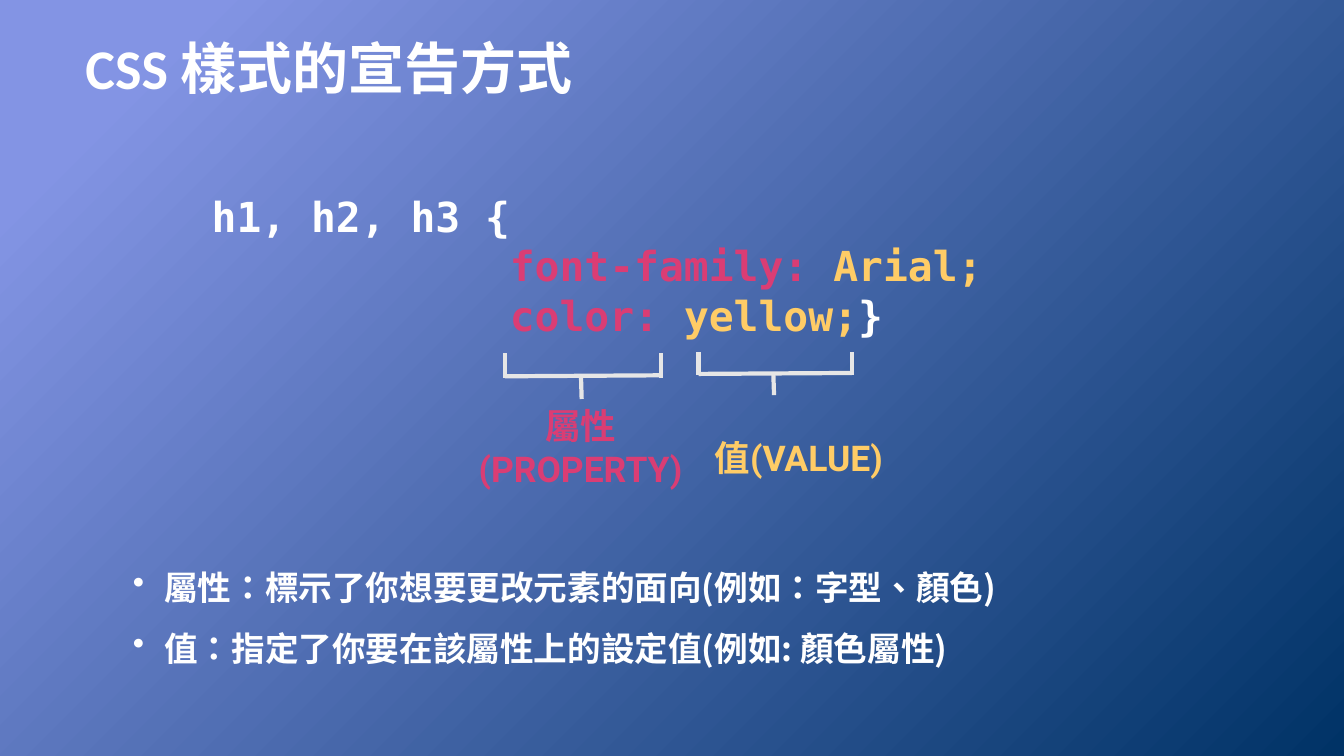
from dataclasses import dataclass
from typing import Optional

import pptx
import pptx.dml.color
import pptx.enum.lang
import pptx.enum.shapes
import pptx.enum.text
import pptx.oxml.ns
import pptx.slide
import pptx.util
from lxml import etree

Pt = pptx.util.Pt
qn = pptx.oxml.ns.qn
ALIGN = pptx.enum.text.PP_ALIGN
ANCHOR = pptx.enum.text.MSO_ANCHOR

WHITE = "FFFFFF"
PROPERTY = "DA3D74"
VALUE = "FFCC66"
BRACKET = "E6E6E6"


@dataclass
class TextBlock:
    left: float
    top: float
    width: float
    height: float
    font: str
    size: float
    lines: list[list[tuple[str, str]]]
    anchor: ANCHOR = ANCHOR.MIDDLE
    align: ALIGN = ALIGN.LEFT
    inset: tuple[float, float] = (0, 0)
    indents: tuple[float, ...] = ()
    bullet: Optional[str] = None
    spacing: Optional[float] = None


@dataclass
class Bracket:
    left: float
    right: float
    top: float
    bar: float
    stem: float
    bottom: float


def rgb(value: str) -> pptx.dml.color.RGBColor:
    return pptx.dml.color.RGBColor.from_string(value)


def set_values(target: object, values: dict) -> None:
    for name, value in values.items():
        setattr(target, name, value)


def draw_background(s: pptx.slide.Slide) -> None:
    fill = s.background.fill
    fill.gradient()
    fill.gradient_angle = 315
    stops = ((0.1, "8394E4"), (1.0, "003366"))
    for stop, (position, color) in zip(fill.gradient_stops, stops):
        stop.position = position
        stop.color.rgb = rgb(color)


def draw_text(s: pptx.slide.Slide, block: TextBlock) -> None:
    sp = s.shapes.add_textbox(
        Pt(block.left), Pt(block.top), Pt(block.width), Pt(block.height))
    tf = sp.text_frame
    side, end = block.inset
    set_values(tf, {
        "word_wrap": True,
        "vertical_anchor": block.anchor,
        "margin_left": Pt(side),
        "margin_right": Pt(side),
        "margin_top": Pt(end),
        "margin_bottom": Pt(end),
    })
    for i, line in enumerate(block.lines):
        p = tf.paragraphs[0] if i == 0 else tf.add_paragraph()
        p.alignment = block.align
        if block.spacing:
            p.line_spacing = Pt(block.spacing)
        pPr = p._p.get_or_add_pPr()
        if block.indents:
            pPr.set("marL", str(Pt(block.indents[i])))
        if block.bullet:
            pPr.set("indent", str(-Pt(block.indents[i])))
            etree.SubElement(pPr, qn("a:buChar")).set("char", block.bullet)
        for text, color in line:
            r = p.add_run()
            r.text = text
            set_values(r.font, {
                "name": block.font,
                "size": Pt(block.size),
                "bold": True,
                "language_id": pptx.enum.lang.MSO_LANGUAGE_ID.TRADITIONAL_CHINESE,
            })
            r.font.color.rgb = rgb(color)
            ea = etree.SubElement(r._r.get_or_add_rPr(), qn("a:ea"))
            ea.set("typeface", block.font)


def draw_bracket(s: pptx.slide.Slide, b: Bracket) -> None:
    segments = (
        (b.left, b.top, b.left, b.bar + 1),
        (b.right, b.top, b.right, b.bar + 1),
        (b.left, b.bar, b.right, b.bar - 0.7),
        (b.stem, b.bar, b.stem + 0.5, b.bottom),
    )
    for segment in segments:
        line = s.shapes.add_connector(
            pptx.enum.shapes.MSO_CONNECTOR.STRAIGHT, *map(Pt, segment))
        line.line.width = Pt(3)
        line.line.color.rgb = rgb(BRACKET)
        etree.SubElement(line._element.spPr, qn("a:effectLst"))


BLOCKS = [
    TextBlock(54, 11.5, 798, 72.7, "Calibri", 40,
              [[("CSS 樣式的宣告方式", WHITE)]], inset=(7.2, 3.6)),
    TextBlock(151.2, 134, 558.7, 111, "DejaVu Sans Mono", 29.5, [
        [("h1, h2, h3 {", WHITE)],
        [("font-family: ", PROPERTY), ("Arial;", VALUE)],
        [("color: ", PROPERTY), ("yellow;", VALUE), ("}", WHITE)],
    ], indents=(0, 213, 213)),
    TextBlock(331.2, 283.7, 167, 71.3, "Roboto", 25.3,
              [[("屬性", PROPERTY)], [("(PROPERTY)", PROPERTY)]],
              align=ALIGN.CENTER),
    TextBlock(510.5, 309, 143.3, 36, "Roboto", 25.3, [[("值(VALUE)", VALUE)]]),
    TextBlock(87.8, 386.6, 657.4, 89.3, "Noto Sans CJK SC", 24, [
        [("屬性：標示了你想要更改元素的面向(例如：字型、顏色)", WHITE)],
        [("值：指定了你要在該屬性上的設定值(例如: 顏色屬性)", WHITE)],
    ], anchor=ANCHOR.TOP, inset=(7.2, 3.6), indents=(22.5, 22.5),
        bullet="•", spacing=43.5),
]

BRACKETS = [
    Bracket(360.7, 472.3, 252.4, 268.8, 415, 285),
    Bracket(499, 608.5, 251.6, 267.1, 552.4, 282.2),
]


def main() -> None:
    prs = pptx.Presentation()
    set_values(prs, {"slide_width": Pt(960), "slide_height": Pt(540)})
    s = prs.slides.add_slide(prs.slide_layouts[6])
    draw_background(s)
    for block in BLOCKS:
        draw_text(s, block)
    for bracket in BRACKETS:
        draw_bracket(s, bracket)
    prs.save("out.pptx")


if __name__ == "__main__":
    main()
